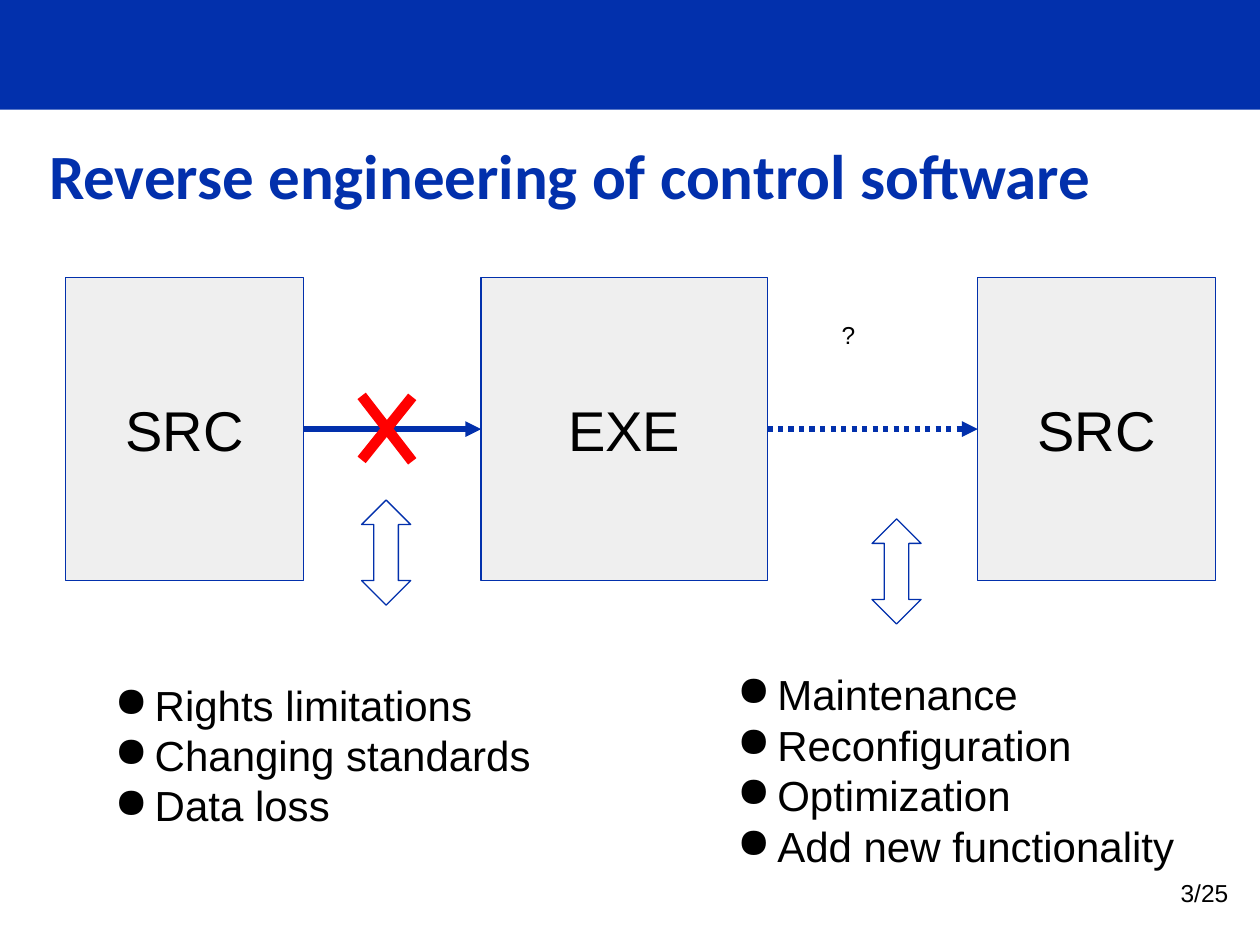
from lxml import etree
from pptx import Presentation
from pptx.dml.color import RGBColor
from pptx.enum import dml, shapes, text
from pptx.oxml.ns import qn
from pptx.util import Cm, Pt

BLUE = RGBColor(0x02, 0x30, 0xAC)
GREY = RGBColor(0xEF, 0xEF, 0xEF)
RED = RGBColor(0xFF, 0x00, 0x00)
BLACK = RGBColor(0x00, 0x00, 0x00)
WHITE = RGBColor(0xFF, 0xFF, 0xFF)

INSET = Cm(0.25)
BOX_TOP, BOX_HEIGHT = 5.59, 6.12
FLOW_Y = BOX_TOP + BOX_HEIGHT / 2


def write(frame, lines, size, font="Arial", color=BLACK, bold=False,
          align=text.PP_ALIGN.LEFT, anchor=text.MSO_ANCHOR.TOP, bullet=None):
    """Fill a text frame with one paragraph per line."""
    frame.word_wrap = True
    frame.vertical_anchor = anchor
    frame.margin_left = frame.margin_right = INSET
    frame.margin_top = frame.margin_bottom = INSET
    for i, line in enumerate(lines):
        paragraph = frame.paragraphs[0] if i == 0 else frame.add_paragraph()
        paragraph.text = line
        paragraph.alignment = align
        if bullet:
            add_bullet(paragraph, bullet)
        paragraph.font.name = font
        paragraph.font.size = Pt(size)
        paragraph.font.bold = bold
        paragraph.font.color.rgb = color


def add_bullet(paragraph, char):
    properties = paragraph._p.get_or_add_pPr()
    properties.set("marL", str(Cm(1.27)))
    properties.set("indent", str(Cm(-0.81)))
    bullet_color = etree.SubElement(properties, qn("a:buClr"))
    etree.SubElement(bullet_color, qn("a:srgbClr"), val=str(BLACK))
    etree.SubElement(properties, qn("a:buChar"), char=char)


def add_label(slide, left, top, width, height, lines, size, **style):
    label = slide.shapes.add_textbox(Cm(left), Cm(top), Cm(width), Cm(height))
    write(label.text_frame, lines, size, **style)
    return label


def add_block(slide, kind, left, top, width, height, fill, outline=None):
    block = slide.shapes.add_shape(kind, Cm(left), Cm(top), Cm(width), Cm(height))
    block.shadow.inherit = False
    block.fill.solid()
    block.fill.fore_color.rgb = fill
    if outline is None:
        block.line.fill.background()
    else:
        block.line.color.rgb = outline
        block.line.width = Pt(0.75)
    return block


def add_stroke(slide, x1, y1, x2, y2, color, width, arrow=False, dash=None):
    stroke = slide.shapes.add_connector(
        shapes.MSO_CONNECTOR.STRAIGHT, Cm(x1), Cm(y1), Cm(x2), Cm(y2))
    stroke.line.color.rgb = color
    stroke.line.width = Pt(width)
    if dash:
        stroke.line.dash_style = dash
    if arrow:
        etree.SubElement(stroke.line._get_or_add_ln(), qn("a:tailEnd"), type="triangle")
    etree.SubElement(stroke._element.spPr, qn("a:effectLst"))


def main():
    prs = Presentation()
    prs.slide_width, prs.slide_height = Cm(25.4), Cm(19.05)
    slide = prs.slides.add_slide(prs.slide_layouts[6])
    rectangle = shapes.MSO_SHAPE.RECTANGLE
    center, middle = text.PP_ALIGN.CENTER, text.MSO_ANCHOR.MIDDLE

    # Header band, title and page number
    add_block(slide, rectangle, 0, 0, 25.4, 2.21, BLUE)
    add_label(slide, 0.74, 2.51, 23.67, 2.13,
              ["Reverse engineering of control software"], 36,
              font="Calibri", color=BLUE, bold=True)
    add_label(slide, 23.55, 17.27, 1.52, 1.45, ["3/25"], 14, anchor=middle)

    # Program stages
    stages = [("SRC", 1.32, 4.8), ("EXE", 9.7, 5.77), ("SRC", 19.71, 4.8)]
    for name, left, width in stages:
        stage = add_block(slide, rectangle, left, BOX_TOP, width, BOX_HEIGHT, GREY, BLUE)
        write(stage.text_frame, [name], 32, align=center, anchor=middle)

    # Arrows between neighbouring stages: solid forward, dotted back to source
    dashes = [None, dml.MSO_LINE.ROUND_DOT]
    for (_, left, width), (_, target, _), dash in zip(stages, stages[1:], dashes):
        add_stroke(slide, left + width, FLOW_Y, target, FLOW_Y, BLUE, 3, True, dash)
    question = add_label(slide, 15.9, 6.32, 2.41, 4.78, ["?"], 14, align=center)
    question.text_frame.margin_top = Cm(0.13)

    # Red cross over the first arrow
    add_stroke(slide, 7.29, 9.27, 8.31, 8.0, RED, 6)
    add_stroke(slide, 8.31, 9.3, 7.29, 7.98, RED, 6)

    # Double arrows leading to the reasons
    for left, top in [(7.29, 10.08), (17.58, 10.46)]:
        add_block(slide, shapes.MSO_SHAPE.UP_DOWN_ARROW, left, top, 0.99, 2.12, WHITE, BLUE)

    # Reasons
    add_label(slide, 1.6, 13.44, 15.49, 5.74,
              ["Rights limitations", "Changing standards", "Data loss"],
              24, bullet="●")
    add_label(slide, 14.15, 11.35, 10.9, 8.33,
              ["Maintenance", "Reconfiguration", "Optimization", "Add new functionality"],
              24, anchor=middle, bullet="●")

    prs.save("out.pptx")


if __name__ == "__main__":
    main()
